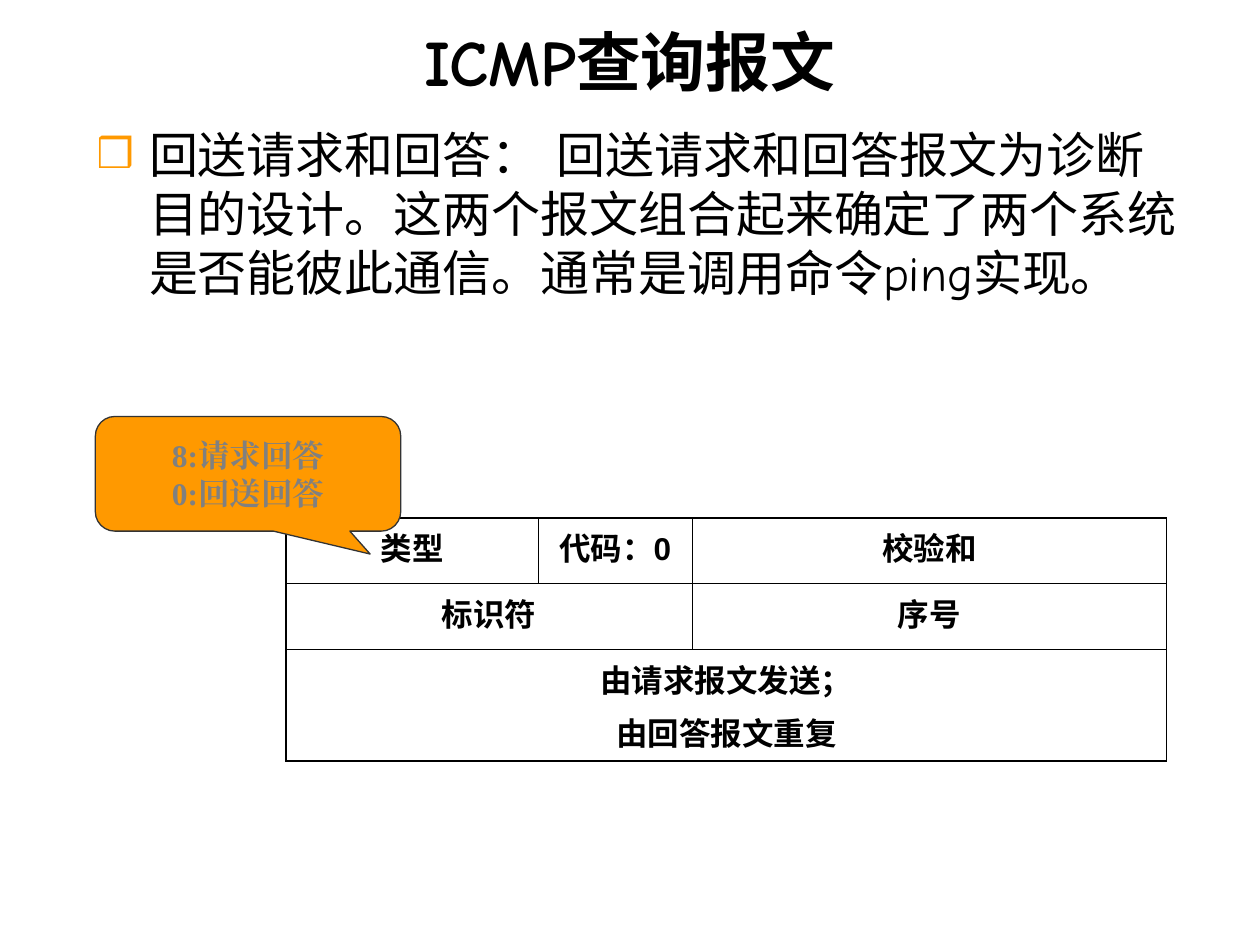
from dataclasses import dataclass

from lxml.etree import SubElement
from pptx import Presentation
from pptx.dml.color import RGBColor
from pptx.enum.lang import MSO_LANGUAGE_ID as Language
from pptx.enum.shapes import MSO_SHAPE as Shape
from pptx.enum.text import MSO_ANCHOR as Anchor
from pptx.enum.text import MSO_AUTO_SIZE as AutoSize
from pptx.enum.text import PP_ALIGN as Align
from pptx.oxml import parse_xml
from pptx.oxml.ns import nsdecls, qn
from pptx.util import Pt


@dataclass(frozen=True)
class Theme:
    ink: str = "000000"
    accent: str = "FF9900"
    callout_ink: str = "808080"
    callout_line: str = "333333"
    heading_font: str = "Comic Neue"
    table_font: str = "Arial"
    callout_font: str = "Times New Roman"
    title_size: float = 37
    body_size: float = 28
    label_size: float = 18
    outer_line: float = 1.08
    inner_line: float = 0.45


THEME = Theme()


def place(shape, box):
    shape.left, shape.top, shape.width, shape.height = map(Pt, box)


def write(frame, lines, *, font, size, color=THEME.ink, bold=False,
          align=Align.CENTER, gap=0, east_asian=True):
    """Write one paragraph per line; gap is the space between paragraphs."""
    for index, line in enumerate(lines):
        paragraph = frame.paragraphs[0] if index == 0 else frame.add_paragraph()
        paragraph.alignment = align
        paragraph.space_before = Pt(gap if index else 0)
        run = paragraph.add_run()
        run.text = line
        run.font.name = font
        run.font.size = Pt(size)
        run.font.bold = bold
        run.font.color.rgb = RGBColor.from_string(color)
        run.font.language_id = Language.SIMPLIFIED_CHINESE
        if east_asian:
            latin = run.font._element.find(qn("a:latin"))
            latin.addnext(parse_xml(f'<a:ea {nsdecls("a")} typeface="{font}"/>'))


def add_bullet(paragraph, character, color, indent):
    properties = paragraph._p.get_or_add_pPr()
    properties.set("marL", str(Pt(indent)))
    properties.set("indent", str(-Pt(indent)))
    bullet_color = SubElement(properties, qn("a:buClr"))
    SubElement(bullet_color, qn("a:srgbClr"), val=color)
    SubElement(properties, qn("a:buSzPct"), val="85000")
    SubElement(properties, qn("a:buChar"), char=character)


def fill_title(title, box, text):
    place(title, box)
    title.text_frame.auto_size = AutoSize.NONE
    title.text_frame.vertical_anchor = Anchor.MIDDLE
    write(title.text_frame, [text], font=THEME.heading_font,
          size=THEME.title_size, bold=True)


def fill_body(body, box, text):
    place(body, box)
    frame = body.text_frame
    frame.auto_size = AutoSize.NONE
    frame.vertical_anchor = Anchor.TOP
    add_bullet(frame.paragraphs[0], "❒", THEME.accent, indent=30)
    write(frame, [text], font=THEME.heading_font, size=THEME.body_size,
          align=Align.LEFT)


def set_borders(cell, outer_sides):
    properties = cell._tc.get_or_add_tcPr()
    for index, side in enumerate("LRTB"):
        width = THEME.outer_line if side in outer_sides else THEME.inner_line
        properties.insert(index, parse_xml(
            f'<a:ln{side} {nsdecls("a")} w="{Pt(width)}"><a:solidFill>'
            f'<a:srgbClr val="{THEME.ink}"/></a:solidFill></a:ln{side}>'))


def add_message_table(slide, box, widths, heights, rows):
    """Each row lists (column span, lines) for its cells."""
    table = slide.shapes.add_table(len(heights), len(widths), *map(Pt, box)).table
    table.first_row = table.horz_banding = False
    for column, width in zip(table.columns, widths):
        column.width = Pt(width)
    for row, height in zip(table.rows, heights):
        row.height = Pt(height)

    for row_index, fields in enumerate(rows):
        start = 0
        for span, lines in fields:
            end = start + span
            cell = table.cell(row_index, start)
            if span > 1:
                cell.merge(table.cell(row_index, end - 1))
            write(cell.text_frame, lines, font=THEME.table_font,
                  size=THEME.label_size, bold=True, gap=4.5, east_asian=False)
            edges = {"L": start == 0, "R": end == len(widths),
                     "T": row_index == 0, "B": row_index == len(rows) - 1}
            outer_sides = [side for side, outer in edges.items() if outer]
            for column_index in range(start, end):
                part = table.cell(row_index, column_index)
                part.fill.background()
                set_borders(part, outer_sides)
            start = end


def add_type_callout(slide, box, lines):
    callout = slide.shapes.add_shape(Shape.ROUNDED_RECTANGULAR_CALLOUT, *map(Pt, box))
    for index, value in enumerate((0.4, 0.7, 0.17)):
        callout.adjustments[index] = value
    callout.shadow.inherit = False
    callout.fill.solid()
    callout.fill.fore_color.rgb = RGBColor.from_string(THEME.accent)
    callout.line.color.rgb = RGBColor.from_string(THEME.callout_line)
    callout.line.width = Pt(0.75)
    callout.text_frame.word_wrap = True
    callout.text_frame.vertical_anchor = Anchor.MIDDLE
    write(callout.text_frame, lines, font=THEME.callout_font,
          size=THEME.label_size, color=THEME.callout_ink, bold=True)


def build_query_slide(presentation):
    slide = presentation.slides.add_slide(presentation.slide_layouts[1])
    fill_title(slide.shapes.title, (36, 9.5, 648, 50), "ICMP查询报文")
    fill_body(slide.placeholders[1], (48, 67.5, 636, 198),
              "回送请求和回答： 回送请求和回答报文为诊断目的设计。"
              "这两个报文组合起来确定了两个系统是否能彼此通信。"
              "通常是调用命令ping实现。")
    add_message_table(
        slide, (163.5, 296, 503, 129),
        widths=(144, 88, 271), heights=(37.5, 37.5, 54),
        rows=[
            [(1, ["类型"]), (1, ["代码：0"]), (1, ["校验和"])],
            [(2, ["标识符"]), (1, ["序号"])],
            [(3, ["由请求报文发送；", "由回答报文重复"])],
        ])
    add_type_callout(slide, (54.5, 238, 174.5, 65.5), ["8:请求回答", "0:回送回答"])


def main():
    presentation = Presentation()
    presentation.slide_width, presentation.slide_height = Pt(720), Pt(540)
    build_query_slide(presentation)
    presentation.save("out.pptx")


if __name__ == "__main__":
    main()
